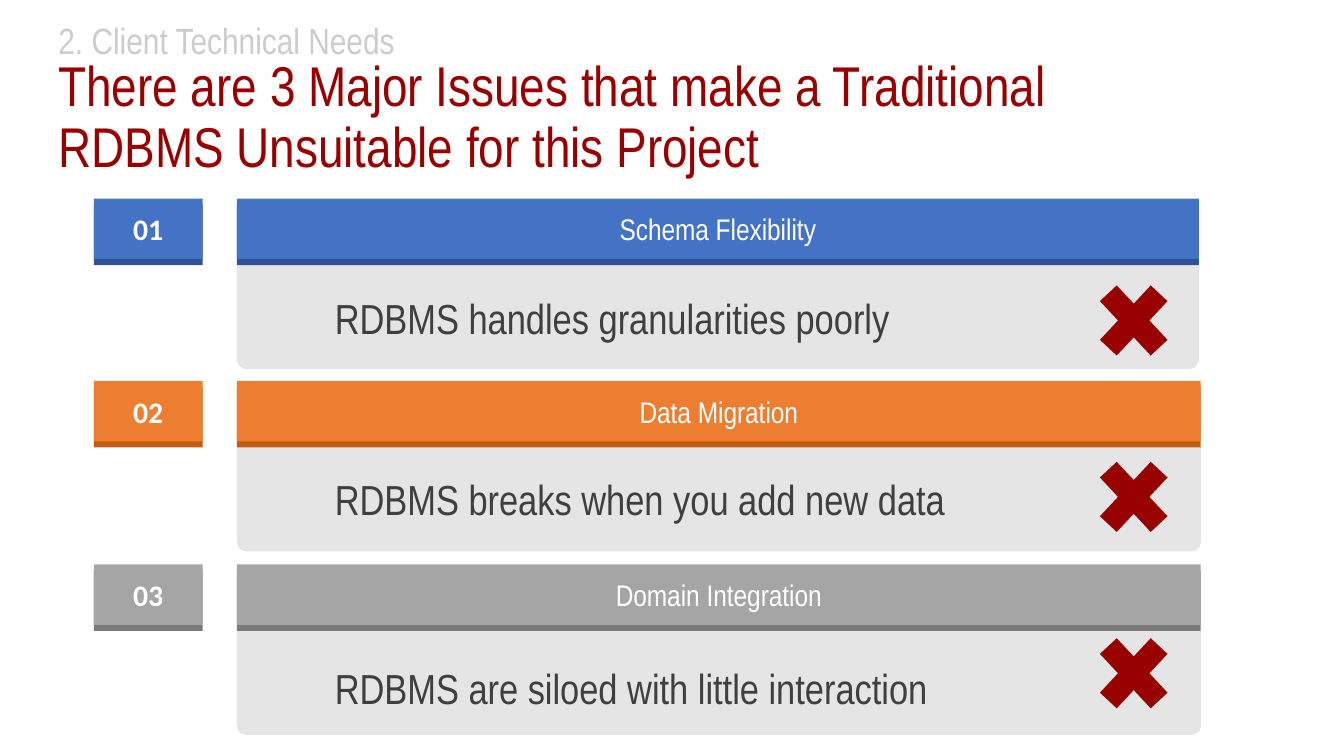
"""Build a slide listing three issues that make a traditional RDBMS unsuitable."""
from dataclasses import dataclass

from pptx import Presentation
from pptx.dml.color import RGBColor
from pptx.enum.shapes import MSO_SHAPE as Shape
from pptx.enum.text import MSO_ANCHOR as Anchor, PP_ALIGN as Align
from pptx.util import Pt

EMU_PER_PX = 9144


@dataclass(frozen=True)
class Theme:
    narrow: str = "Arial Narrow"
    badge_font: str = "Calibri"
    title: str = "990000"
    section: str = "CCCCCC"
    body: str = "3F3F3F"
    on_bar: str = "FFFFFF"
    panel: str = "E5E5E5"
    cross: str = "990000"
    title_size: float = 40
    section_size: float = 26
    body_size: float = 30
    bar_size: float = 21.3


@dataclass(frozen=True)
class Issue:
    heading: str
    text: str
    color: str
    edge_color: str
    top: int
    text_top: int
    width: int


THEME = Theme()
ISSUES = [
    Issue("Schema Flexibility", "RDBMS handles granularities poorly",
          "4472C4", "2F5496", 197, 290, 954),
    Issue("Data Migration", "RDBMS breaks when you add new data",
          "ED7D31", "C55A11", 378, 470, 956),
    Issue("Domain Integration", "RDBMS are siloed with little interaction",
          "A5A5A5", "7B7B7B", 560, 657, 956),
]
BADGE_LEFT, BADGE_WIDTH = 93, 108
BAR_LEFT, BAR_HEIGHT, EDGE_DEPTH = 235, 60, 6
PANEL_OFFSET, PANEL_HEIGHT = 65, 104
TEXT_LEFT, TEXT_WIDTH, TEXT_HEIGHT = 332, 692, 50
CROSS_LEFT, CROSS_TOP, CROSS_PITCH = 1076, 266, 175
CROSS_WIDTH, CROSS_HEIGHT = 97, 104


def px(*lengths):
    return [length * EMU_PER_PX for length in lengths]


def write(box, text, size, color, font=THEME.narrow, bold=False):
    box.text_frame.word_wrap = True
    para = box.text_frame.paragraphs[0]
    para.text = text
    span = para.runs[0]
    span.font.name = font
    span.font.size = Pt(size)
    span.font.bold = bold
    span.font.color.rgb = RGBColor.from_string(color)
    return para


def add_solid(page, kind, bounds, color, adjustments=()):
    solid = page.shapes.add_shape(kind, *px(*bounds))
    solid.shadow.inherit = False
    solid.fill.solid()
    solid.fill.fore_color.rgb = RGBColor.from_string(color)
    solid.line.fill.background()
    for index, value in enumerate(adjustments):
        solid.adjustments[index] = value
    return solid


def add_text(page, bounds, text, size, color, inset_x=0, inset_y=0):
    box = page.shapes.add_textbox(*px(*bounds))
    frame = box.text_frame
    frame.margin_left, frame.margin_right = px(inset_x, inset_x)
    frame.margin_top, frame.margin_bottom = px(inset_y, inset_y)
    frame.vertical_anchor = Anchor.TOP
    return write(box, text, size, color)


def add_bar(page, issue, left, width, text, font=THEME.narrow, bold=False):
    add_solid(page, Shape.RECTANGLE,
              (left, issue.top + EDGE_DEPTH, width, BAR_HEIGHT), issue.edge_color)
    bar = add_solid(page, Shape.RECTANGLE,
                    (left, issue.top, width, BAR_HEIGHT), issue.color)
    bar.text_frame.vertical_anchor = Anchor.MIDDLE
    para = write(bar, text, THEME.bar_size, THEME.on_bar, font, bold)
    para.alignment = Align.CENTER


def add_issue(page, index, issue):
    panel_bounds = (BAR_LEFT, issue.top + PANEL_OFFSET, issue.width, PANEL_HEIGHT)
    panel = add_solid(page, Shape.ROUND_2_SAME_RECTANGLE, panel_bounds,
                      THEME.panel, (0.088, 0))
    panel.rotation = 180
    add_bar(page, issue, BAR_LEFT, issue.width, issue.heading)
    add_bar(page, issue, BADGE_LEFT, BADGE_WIDTH, f"{index + 1:02}",
            THEME.badge_font, bold=True)
    add_text(page, (TEXT_LEFT, issue.text_top, TEXT_WIDTH, TEXT_HEIGHT),
             issue.text, THEME.body_size, THEME.body)
    cross_top = CROSS_TOP + index * CROSS_PITCH
    add_solid(page, Shape.MATH_MULTIPLY,
              (CROSS_LEFT, cross_top, CROSS_WIDTH, CROSS_HEIGHT),
              THEME.cross, (0.235,))


def add_headings(page):
    section = add_text(page, (48, 13, 382, 85), "2. Client Technical Needs",
                       THEME.section_size, THEME.section, 10, 10)
    title = add_text(page, (48, 53, 1039, 109),
                     "There are 3 Major Issues that make a Traditional "
                     "RDBMS Unsuitable for this Project",
                     THEME.title_size, THEME.title, 10, 5)
    section.line_spacing = title.line_spacing = 0.9


def main():
    deck = Presentation()
    deck.slide_width, deck.slide_height = px(1333, 750)
    page = deck.slides.add_slide(deck.slide_layouts[6])
    for index, issue in enumerate(ISSUES):
        add_issue(page, index, issue)
    add_headings(page)
    deck.save("out.pptx")


if __name__ == "__main__":
    main()
